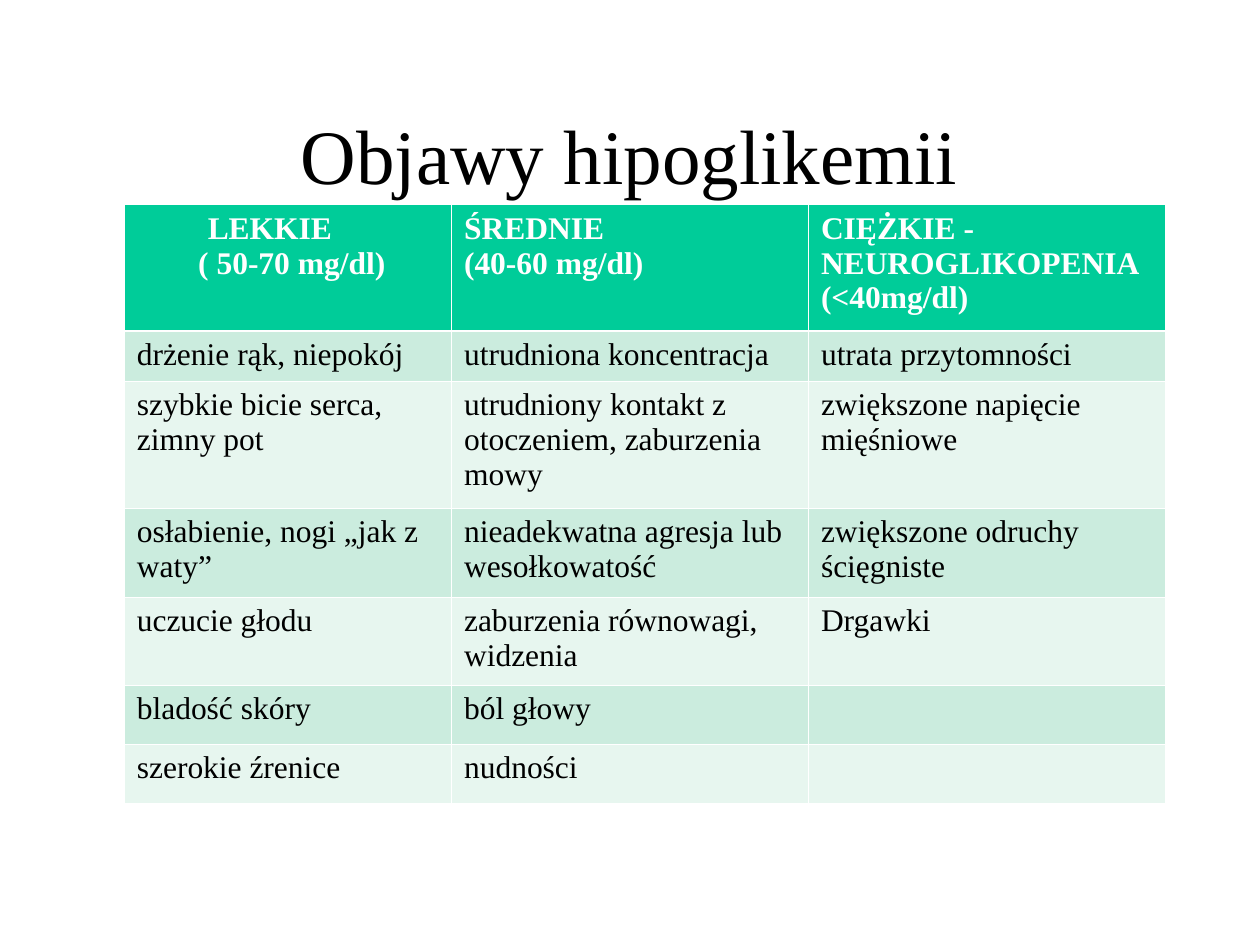
"""Build a slide with a table of hypoglycaemia symptoms by severity."""
from lxml.etree import SubElement
from pptx import Presentation
from pptx.dml.color import RGBColor
from pptx.enum.text import MSO_ANCHOR, PP_ALIGN
from pptx.oxml.ns import qn
from pptx.util import Pt

WHITE = RGBColor(0xFF, 0xFF, 0xFF)
BLACK = RGBColor(0, 0, 0)
GREEN = RGBColor(0x00, 0xCC, 0x99)
MINT = RGBColor(0xCB, 0xEC, 0xDE)
PALE = RGBColor(0xE7, 0xF6, 0xEF)
FONT = "Times New Roman"

COLUMN_WIDTHS = [187, 204, 204]
ROW_HEIGHTS = [71.7, 28.8, 72.6, 50.6, 50.6, 33.7, 33.7]
ROWS = [
    ["LEKKIE\n( 50-70 mg/dl)", "ŚREDNIE\n(40-60 mg/dl)", "CIĘŻKIE - NEUROGLIKOPENIA\n(<40mg/dl)"],
    ["drżenie rąk, niepokój", "utrudniona koncentracja", "utrata przytomności"],
    ["szybkie bicie serca, zimny pot", "utrudniony kontakt z otoczeniem, zaburzenia mowy",
     "zwiększone napięcie mięśniowe"],
    ["osłabienie, nogi „jak z waty”", "nieadekwatna agresja lub wesołkowatość",
     "zwiększone odruchy ścięgniste"],
    ["uczucie głodu", "zaburzenia równowagi, widzenia", "Drgawki"],
    ["bladość skóry", "ból głowy", ""],
    ["szerokie źrenice", "nudności", ""],
]


def format_text(text_frame, size, color, bold=False):
    for paragraph in text_frame.paragraphs:
        for run in paragraph.runs:
            run.font.name = FONT
            run.font.size = Pt(size)
            run.font.bold = bold
            run.font.color.rgb = color


def format_cell(cell, fill, borders):
    properties = cell._tc.get_or_add_tcPr()
    for side, width in borders.items():
        line = SubElement(properties, qn(f"a:{side}"), w=str(Pt(width)))
        solid = SubElement(line, qn("a:solidFill"))
        SubElement(solid, qn("a:srgbClr"), val=str(WHITE))
    cell.fill.solid()
    cell.fill.fore_color.rgb = fill


presentation = Presentation()
presentation.slide_width = Pt(720)
presentation.slide_height = Pt(540)
slide = presentation.slides.add_slide(presentation.slide_layouts[6])

title = slide.shapes.add_textbox(Pt(54), Pt(36.7), Pt(611.3), Pt(112.3))
title.text_frame.word_wrap = True
title.text_frame.vertical_anchor = MSO_ANCHOR.MIDDLE
title.text_frame.text = "Objawy hipoglikemii"
title.text_frame.paragraphs[0].alignment = PP_ALIGN.CENTER
title.text_frame.paragraphs[0].line_spacing = 0.78
format_text(title.text_frame, 44, BLACK)

table = slide.shapes.add_table(
    len(ROWS), len(COLUMN_WIDTHS), Pt(71), Pt(117),
    Pt(sum(COLUMN_WIDTHS)), Pt(sum(ROW_HEIGHTS))).table
for column, width in zip(table.columns, COLUMN_WIDTHS):
    column.width = Pt(width)

for row_index, (texts, height) in enumerate(zip(ROWS, ROW_HEIGHTS)):
    table.rows[row_index].height = Pt(height)
    is_header = row_index == 0
    fill = GREEN if is_header else MINT if row_index % 2 else PALE
    borders = {"lnL": 0.45, "lnR": 0.45,
               "lnT": 1.47 if row_index == 1 else 0.45,
               "lnB": 1.47 if is_header else 0.45}
    for column_index, text in enumerate(texts):
        cell = table.cell(row_index, column_index)
        cell.text_frame.text = text
        format_text(cell.text_frame, 18, WHITE if is_header else BLACK, is_header)
        format_cell(cell, fill, borders)

heading, threshold = table.cell(0, 0).text_frame.paragraphs
heading._p.get_or_add_pPr().set("marL", str(Pt(40.5)))
threshold._p.get_or_add_pPr().set("marL", str(Pt(4.5)))
threshold.alignment = PP_ALIGN.CENTER

presentation.save("out.pptx")
